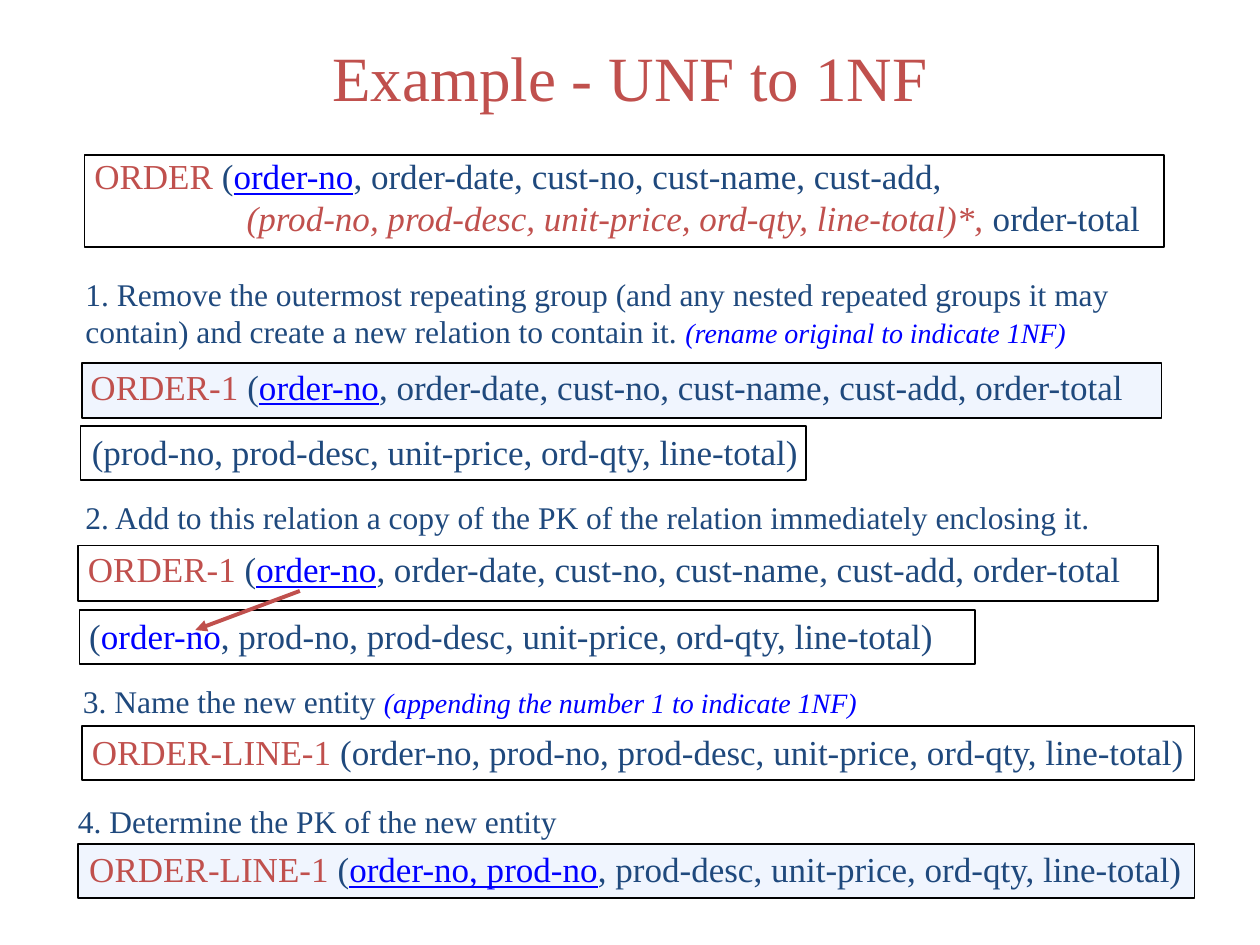
from dataclasses import dataclass
from typing import Optional

from lxml import etree
from pptx import Presentation
from pptx.dml.color import RGBColor
from pptx.enum.shapes import MSO_CONNECTOR, MSO_SHAPE
from pptx.enum.text import MSO_ANCHOR, MSO_AUTO_SIZE, PP_ALIGN
from pptx.oxml.ns import qn
from pptx.util import Inches, Pt

RECT, STRAIGHT = MSO_SHAPE.RECTANGLE, MSO_CONNECTOR.STRAIGHT
MIDDLE, CENTER = MSO_ANCHOR.MIDDLE, PP_ALIGN.CENTER
GROW = MSO_AUTO_SIZE.SHAPE_TO_FIT_TEXT

FONT = "Times New Roman"
RED, NAVY, BLUE = "C0504D", "1F497D", "0000FF"
BLACK, WHITE, PALE = "000000", "FFFFFF", "F0F5FE"

prs = Presentation()
prs.slide_width, prs.slide_height = Inches(10), Inches(7.5)
COL = prs.slide_width / 100  # the slide is a grid of 100 columns
ROW = prs.slide_height / 75  # and 75 rows


@dataclass
class Run:
    text: str
    color: str = NAVY
    size: int = 20
    italic: bool = False
    underline: bool = False


@dataclass
class Area:
    left: float
    top: float
    width: float
    height: float


@dataclass
class Line:
    """Text in its area, with the frame drawn behind it, if any."""
    area: Area
    paragraphs: list[list[Run]]
    frame: Optional[Area] = None
    fill: str = WHITE
    wrap: bool = False
    spacing: Optional[float] = None
    second_indent: float = 0


def rgb(value: str) -> RGBColor:
    return RGBColor.from_string(value)


def place(area: Area) -> tuple[int, int, int, int]:
    return (round(area.left * COL), round(area.top * ROW),
            round(area.width * COL), round(area.height * ROW))


def add_run(p, run: Run) -> None:
    r = p.add_run()
    r.text = run.text
    font = r.font
    font.name, font.size, font.color.rgb = FONT, Pt(run.size), rgb(run.color)
    if run.italic:
        font.italic = True
    if run.underline:
        font.underline = True


def add_frame(shapes, area: Area, fill: str) -> None:
    sp = shapes.add_shape(RECT, *place(area))
    sp.shadow.inherit = False
    sp.fill.solid()
    sp.fill.fore_color.rgb = rgb(fill)
    sp.line.color.rgb = rgb(BLACK)
    sp.line.width = Pt(1)


def add_line(shapes, line: Line) -> None:
    if line.frame:
        add_frame(shapes, line.frame, line.fill)
    tf = shapes.add_textbox(*place(line.area)).text_frame
    tf.word_wrap, tf.auto_size = line.wrap, GROW
    for i, runs in enumerate(line.paragraphs):
        p = tf.add_paragraph() if i else tf.paragraphs[0]
        if line.spacing:
            p.line_spacing = line.spacing
        if i:
            p._p.get_or_add_pPr().set("marL", str(round(line.second_indent * COL)))
        for run in runs:
            add_run(p, run)


def add_arrow(shapes, tip: tuple[float, float], tail: tuple[float, float]) -> None:
    ends = [round(v * unit) for x, y in (tip, tail) for v, unit in ((x, COL), (y, ROW))]
    cxn = shapes.add_connector(STRAIGHT, *ends)
    cxn.line.color.rgb = rgb(RED)
    cxn.line.width = Pt(2.25)
    etree.SubElement(cxn.line._get_or_add_ln(), qn("a:headEnd"), type="triangle")
    etree.SubElement(cxn._element.spPr, qn("a:effectLst"))


def step(text: str) -> Run:
    return Run(text, size=18)


def note(text: str) -> Run:
    return Run(text, BLUE, 16, italic=True)


def key(text: str) -> Run:
    return Run(text, BLUE, underline=True)


# Wording shared by several relations
ITEMS = "prod-desc, unit-price, ord-qty, line-total)"
ORDER_1 = [Run("ORDER-1", RED), Run(" ("), key("order-no"),
           Run(", order-date, cust-no, cust-name, cust-add, order-total")]
LINE_1 = Run("ORDER-LINE-1", RED)

# One group for the starting relation and one for each step
GROUPS = [
    [Line(Area(6.5, 11.8, 87.6, 7.7),
          [[Run("ORDER", RED), Run(" ("), key("order-no"),
            Run(", order-date, cust-no, cust-name, cust-add,")],
           [Run(f"(prod-no, {ITEMS}*,", RED, italic=True), Run(" order-total")]],
          Area(6.7, 12.3, 85.7, 7.3), wrap=True, second_indent=12.1)],
    [Line(Area(5.8, 21.3, 86.9, 7),
          [[step("1. Remove the outermost repeating group (and any nested repeated "
                 "groups it may contain) and create a new relation to contain it. "),
            note("(rename original to indicate 1NF)")]], wrap=True),
     Line(Area(6.2, 28.5, 87.6, 4.4), [ORDER_1],
          Area(6.5, 28.8, 85.7, 4.4), PALE, wrap=True),
     Line(Area(6.3, 33.7, 58.2, 4.4), [[Run(f"(prod-no, {ITEMS}")]],
          Area(6.4, 33.8, 57.6, 4.3))],
    [Line(Area(5.8, 39, 81.9, 4),
          [[step("2. Add to this relation a copy of the PK of the relation "
                 "immediately enclosing it.")]]),
     Line(Area(6, 43, 87.6, 4.4), [ORDER_1],
          Area(6.2, 43.3, 85.7, 4.4), wrap=True),
     Line(Area(6.1, 48.3, 69.2, 4.4),
          [[Run("("), Run("order-no", BLUE), Run(f", prod-no, {ITEMS}")]],
          Area(6.3, 48.4, 71.1, 4.3))],
    [Line(Area(5.6, 54, 63.4, 3.7),
          [[step("3. Name the new entity "),
            note("(appending the number 1 to indicate 1NF)")]], spacing=0.9),
     Line(Area(6.3, 57.5, 88.9, 4.4),
          [[LINE_1, Run(f" (order-no, prod-no, {ITEMS}")]],
          Area(6.5, 57.6, 88.3, 4.3))],
    [Line(Area(5.2, 63.2, 42, 4),
          [[step("4. Determine the PK of the new entity")]], wrap=True),
     Line(Area(6.1, 66.8, 88.9, 4.4),
          [[LINE_1, Run(" ("), key("order-no, prod-no"), Run(f", {ITEMS}")]],
          Area(6.2, 67, 88.6, 4.3), PALE)],
]
COPIED_KEY_STEP = 2

slide = prs.slides.add_slide(prs.slide_layouts[5])

# Title
title = slide.shapes.title
title.left, title.top, title.width, title.height = place(Area(0, 0, 100, 12.1))
tf = title.text_frame
tf.vertical_anchor = MIDDLE
tf.paragraphs[0].alignment = CENTER
add_run(tf.paragraphs[0], Run("Example - UNF to 1NF", RED, 36))

# Relations and steps
for number, lines in enumerate(GROUPS):
    group = slide.shapes.add_group_shape()
    for line in lines:
        add_line(group.shapes, line)
    if number == COPIED_KEY_STEP:
        add_arrow(group.shapes, tip=(15.5, 50), tail=(23.8, 46.9))

prs.save("out.pptx")
